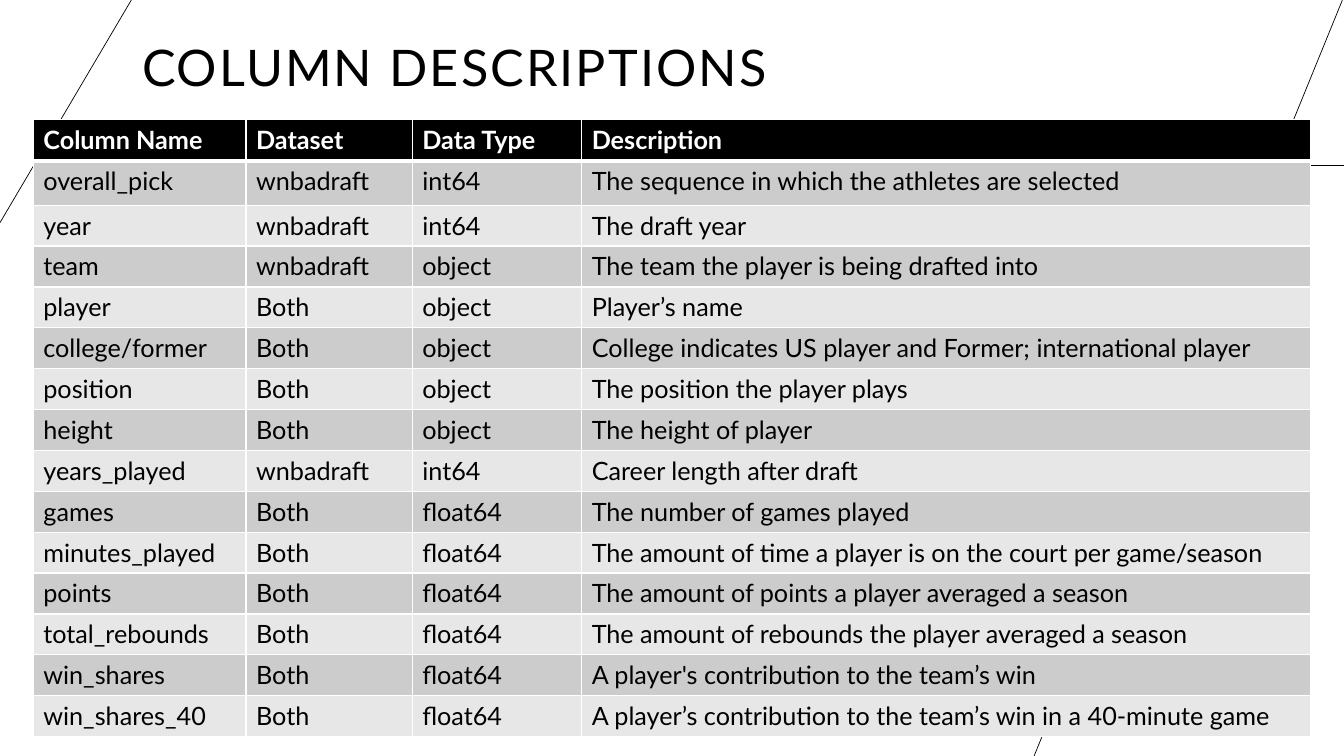
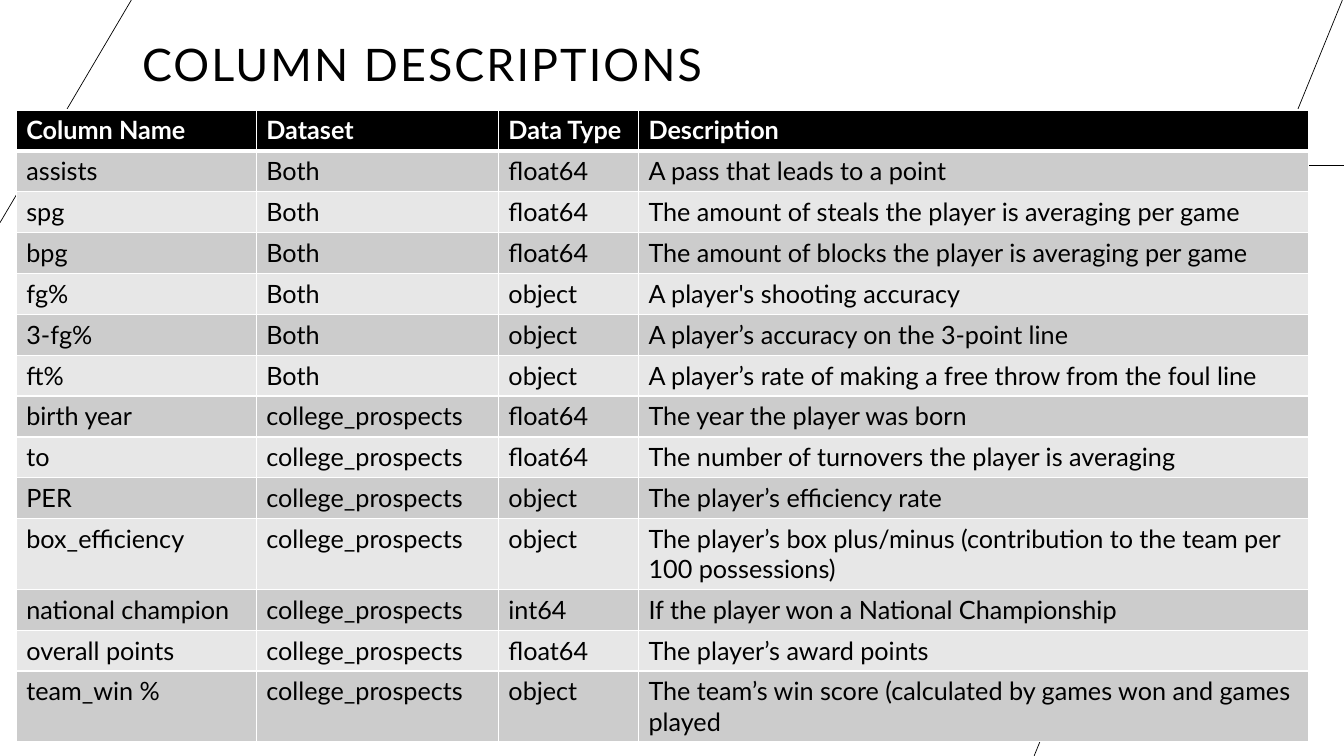
from lxml import etree
from pptx import Presentation
from pptx import util as u
from pptx.dml import color
from pptx.enum import shapes, text
from pptx.oxml import ns

FONT = "Lato"
BLACK, WHITE = "000000", "FFFFFF"
BANDS = ("CCCCCC", "E7E7E7")
ROW = 1.03
TITLE = "COLUMN DESCRIPTIONS"
HEAD = ("Column Name", "Dataset", "Data Type", "Description")
# Thin rules behind every slide: x1, y1, x2, y2
RULES = ((25.27, 4.17, 33.87, 4.17),
         (33.83, 0, 26.06, 19.05),
         (0, 5.61, 3.31, 0))

DRAFT = (
    ("overall_pick", "wnbadraft", "int64", "The sequence in which the athletes are selected"),
    ("year", "wnbadraft", "int64", "The draft year"),
    ("team", "wnbadraft", "object", "The team the player is being drafted into"),
    ("player", "Both", "object", "Player’s name"),
    ("college/former", "Both", "object",
     "College indicates US player and Former; international player"),
    ("position", "Both", "object", "The position the player plays"),
    ("height", "Both", "object", "The height of player"),
    ("years_played", "wnbadraft", "int64", "Career length after draft"),
    ("games", "Both", "float64", "The number of games played"),
    ("minutes_played", "Both", "float64",
     "The amount of time a player is on the court per game/season"),
    ("points", "Both", "float64", "The amount of points a player averaged a season"),
    ("total_rebounds", "Both", "float64",
     "The amount of rebounds the player averaged a season"),
    ("win_shares", "Both", "float64", "A player's contribution to the team’s win"),
    ("win_shares_40", "Both", "float64",
     "A player’s contribution to the team’s win in a 40-minute game"),
)

STATS = (
    ("assists", "Both", "float64", "A pass that leads to a point"),
    ("spg", "Both", "float64", "The amount of steals the player is averaging per game"),
    ("bpg", "Both", "float64", "The amount of blocks the player is averaging per game"),
    ("fg%", "Both", "object", "A player's shooting accuracy"),
    ("3-fg%", "Both", "object", "A player’s accuracy on the 3-point line"),
    ("ft%", "Both", "object", "A player’s rate of making a free throw from the foul line"),
    ("birth year", "college_prospects", "float64", "The year the player was born"),
    ("to", "college_prospects", "float64", "The number of turnovers the player is averaging"),
    ("PER", "college_prospects", "object", "The player’s efficiency rate"),
    ("box_efficiency", "college_prospects", "object",
     "The player’s box plus/minus (contribution to the team per 100 possessions)"),
    ("national champion", "college_prospects", "int64",
     "If the player won a National Championship"),
    ("overall points", "college_prospects", "float64", "The player’s award points"),
    ("team_win %", "college_prospects", "object",
     "The team’s win score (calculated by games won and games played"),
)


def paint(target, tone):
    """Give a font, or a fill already made solid, its colour."""
    rgb = color.RGBColor.from_string(tone)
    if hasattr(target, "fore_color"):
        target.fore_color.rgb = rgb
    else:
        target.color.rgb = rgb


def write(frame, words, size=18, tone=BLACK, bold=False, space=None, track=None):
    para = frame.paragraphs[0]
    if space:
        para.line_spacing = space
    run = para.add_run()
    run.text = words
    run.font.name, run.font.size, run.font.bold = FONT, u.Pt(size), bold
    paint(run.font, tone)
    if track:
        run.font._element.set("spc", str(int(track * 100)))


def edge(cell, **widths):
    """Draw white cell borders, widths in points by side."""
    props = cell._tc.get_or_add_tcPr()
    for side in "LRTB":
        line = etree.SubElement(props, ns.qn("a:ln" + side),
                                w=str(u.Pt(widths.get(side, 1))))
        fill = etree.SubElement(line, ns.qn("a:solidFill"))
        etree.SubElement(fill, ns.qn("a:srgbClr"), val=WHITE)


def rules(slide):
    for ends in RULES:
        line = slide.shapes.add_connector(shapes.MSO_CONNECTOR.STRAIGHT,
                                          *map(u.Cm, ends))
        line.line.width = u.Pt(0.5)
        paint(line.line, BLACK)
        etree.SubElement(line._element.spPr, ns.qn("a:effectLst"))


def title(slide, box, size):
    frame = slide.shapes.add_textbox(*map(u.Cm, box)).text_frame
    frame.word_wrap = True
    frame.vertical_anchor = text.MSO_ANCHOR.BOTTOM
    write(frame, TITLE, size=size, space=0.9, track=1.5)


def grid(slide, left, top, cols, rows, tall):
    """Place a table; tall maps a row number to its own height."""
    highs = [tall.get(i, ROW) for i in range(len(rows) + 1)]
    table = slide.shapes.add_table(
        len(highs), len(cols),
        *map(u.Cm, (left, top, sum(cols), sum(highs)))).table
    table.horz_banding = False
    for col, wide in zip(table.columns, cols):
        col.width = u.Cm(wide)
    for i, (high, words) in enumerate(zip(highs, (HEAD, *rows))):
        table.rows[i].height = u.Cm(high)
        head = i == 0
        for j, word in enumerate(words):
            cell = table.cell(i, j)
            edge(cell, T=3 if i == 1 else 1, B=3 if head else 1)
            cell.fill.solid()
            paint(cell.fill, BLACK if head else BANDS[(i - 1) % 2])
            write(cell.text_frame, word, tone=WHITE if head else BLACK, bold=head)


def page(deck, box, size, **table):
    slide = deck.slides.add_slide(deck.slide_layouts[6])
    rules(slide)
    title(slide, box, size)
    grid(slide, **table)


def main():
    deck = Presentation()
    deck.slide_width, deck.slide_height = u.Cm(33.87), u.Cm(19.05)
    page(deck, (3.33, 0.69, 20.24, 1.88), 36, left=0.84, top=3.02,
         cols=(5.36, 4.19, 4.27, 18.36), rows=DRAFT, tall={1: 1.12})
    page(deck, (3.33, 0.69, 20.24, 1.73), 32, left=0.41, top=2.77,
         cols=(6.05, 6.1, 3.53, 16.89), rows=STATS, tall={10: 1.77, 13: 1.77})
    deck.save("out.pptx")


if __name__ == "__main__":
    main()
